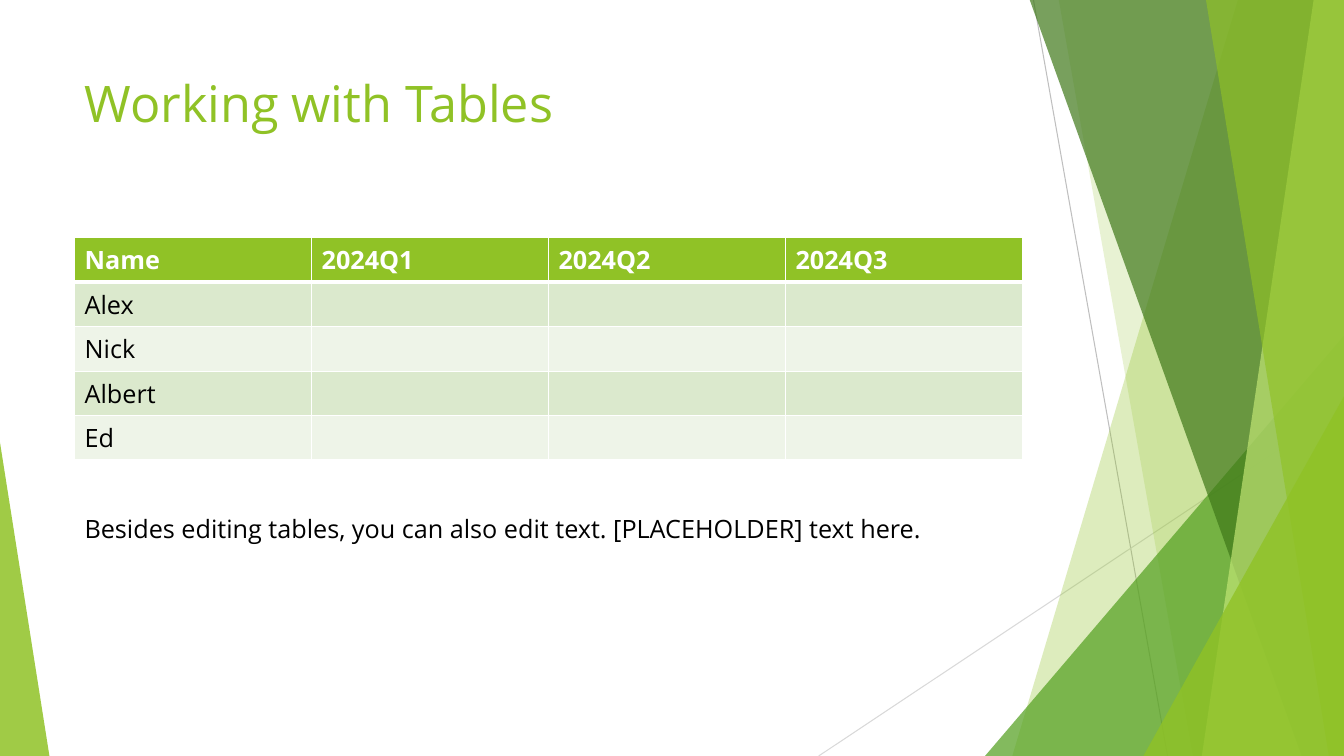
from lxml import etree
from pptx import Presentation
from pptx.dml.color import RGBColor
from pptx.enum.shapes import MSO_CONNECTOR, MSO_SHAPE
from pptx.enum.text import MSO_ANCHOR, MSO_AUTO_SIZE
from pptx.oxml.ns import qn
from pptx.util import Inches, Pt

STRAIGHT = MSO_CONNECTOR.STRAIGHT
TRIANGLE = MSO_SHAPE.ISOSCELES_TRIANGLE
TOP = MSO_ANCHOR.TOP
GROW = MSO_AUTO_SIZE.SHAPE_TO_FIT_TEXT
NO_FIT = MSO_AUTO_SIZE.NONE

FONT = "Open Sans"
GREEN, WHITE, BLACK = "90C226", "FFFFFF", "000000"
BANDS = ("DBE9CD", "EEF4E8")
WIDTH, HEIGHT = 13.33, 7.5
BAND_TOP = -0.01
LEFT, CONTENT_WIDTH = 0.74, 9.4
ROW_HEIGHT = 0.41

HEADERS = ["Name", "2024Q1", "2024Q2", "2024Q3"]
PEOPLE = ["Alex", "Nick", "Albert", "Ed"]


def color(hex_code):
    return RGBColor.from_string(hex_code)


def paint(shape, fill, opacity):
    """Give a shape a translucent fill without outline or shadow."""
    shape.shadow.inherit = False
    shape.line.fill.background()
    shape.fill.solid()
    shape.fill.fore_color.rgb = color(fill)
    rgb = shape.fill._xPr.find(".//" + qn("a:srgbClr"))
    etree.SubElement(rgb, qn("a:alpha"), val=str(opacity * 1000))


def add_ray(slide, start, end, line_color):
    ray = slide.shapes.add_connector(STRAIGHT, *map(Inches, start + end))
    ray.line.color.rgb = color(line_color)
    ray.line.width = Pt(0.75)
    etree.SubElement(ray._element.spPr, qn("a:effectLst"))


def add_band(slide, top_x, bottom_x, fill, opacity):
    """Draw a slanted band that reaches to the right slide edge."""
    corners = [(top_x, BAND_TOP), (WIDTH, BAND_TOP), (WIDTH, HEIGHT), (bottom_x, HEIGHT)]
    points = [(Inches(x), Inches(y)) for x, y in corners]
    builder = slide.shapes.build_freeform(*points[0], scale=1.0)
    builder.add_line_segments(points[1:], close=True)
    paint(builder.convert_to_shape(), fill, opacity)


def add_corner(slide, left, top, width, apex, fill, opacity):
    """Draw a triangle that stands on the bottom slide edge."""
    corner = slide.shapes.add_shape(
        TRIANGLE, Inches(left), Inches(top), Inches(width), Inches(HEIGHT - top))
    corner.adjustments[0] = apex
    paint(corner, fill, opacity)


def write(frame, text, size=18, fill=BLACK, bold=False):
    run = frame.paragraphs[0].add_run()
    run.text = text
    run.font.name = FONT
    run.font.size = Pt(size)
    run.font.bold = bold
    run.font.color.rgb = color(fill)


def add_text(slide, text, top, height, fit=NO_FIT, **style):
    box = slide.shapes.add_textbox(
        Inches(LEFT), Inches(top), Inches(CONTENT_WIDTH), Inches(height))
    frame = box.text_frame
    frame.word_wrap = True
    frame.auto_size = fit
    frame.vertical_anchor = TOP
    write(frame, text, **style)


def set_borders(cell, top, bottom):
    """Draw white cell borders; widths are in points."""
    widths = {"a:lnL": 1, "a:lnR": 1, "a:lnT": top, "a:lnB": bottom}
    properties = cell._tc.get_or_add_tcPr()
    for position, (side, width) in enumerate(widths.items()):
        border = etree.Element(qn(side), w=str(Pt(width)))
        solid = etree.SubElement(border, qn("a:solidFill"))
        etree.SubElement(solid, qn("a:srgbClr"), val=WHITE)
        properties.insert(position, border)


def add_quarter_table(slide, top):
    rows = [HEADERS] + [[person] + [""] * (len(HEADERS) - 1) for person in PEOPLE]
    table = slide.shapes.add_table(
        len(rows), len(HEADERS), Inches(LEFT), Inches(top),
        Inches(CONTENT_WIDTH), Inches(ROW_HEIGHT * len(rows))).table
    for row, values in enumerate(rows):
        header = row == 0
        for column, value in enumerate(values):
            cell = table.cell(row, column)
            cell.fill.solid()
            cell.fill.fore_color.rgb = color(GREEN if header else BANDS[(row - 1) % 2])
            set_borders(cell, top=3 if row == 1 else 1, bottom=3 if header else 1)
            if value:
                write(cell.text_frame, value, fill=WHITE if header else BLACK, bold=header)


def add_backdrop(slide):
    add_ray(slide, (10.25, 0), (11.58, HEIGHT), "BFBFBF")
    add_ray(slide, (WIDTH, 4.03), (8.12, HEIGHT), "D9D9D9")
    add_band(slide, 12.28, 10.04, GREEN, 30)
    add_band(slide, 10.5, 11.83, GREEN, 20)
    add_corner(slide, 9.77, 3.33, 3.56, 1, "54A021", 72)
    add_band(slide, 10.21, 12.91, "3F7819", 70)
    add_band(slide, 13.03, 11.92, "C0E474", 70)
    add_band(slide, 11.96, 13.18, GREEN, 65)
    add_corner(slide, 11.34, 3.93, 1.99, 1, GREEN, 80)
    add_corner(slide, 0, 4.39, 0.49, 0, GREEN, 85)


def main():
    deck = Presentation()
    deck.slide_width, deck.slide_height = Inches(WIDTH), Inches(HEIGHT)
    slide = deck.slides.add_slide(deck.slide_layouts[6])

    # Green facets along the slide edges
    add_backdrop(slide)

    # Title, table and closing sentence
    add_text(slide, "Working with Tables", 0.67, 1.44, size=36, fill=GREEN)
    add_quarter_table(slide, 2.36)
    add_text(slide, "Besides editing tables, you can also edit text. [PLACEHOLDER] text here.",
             5.04, 0.4, fit=GROW)

    deck.save("out.pptx")


if __name__ == "__main__":
    main()
